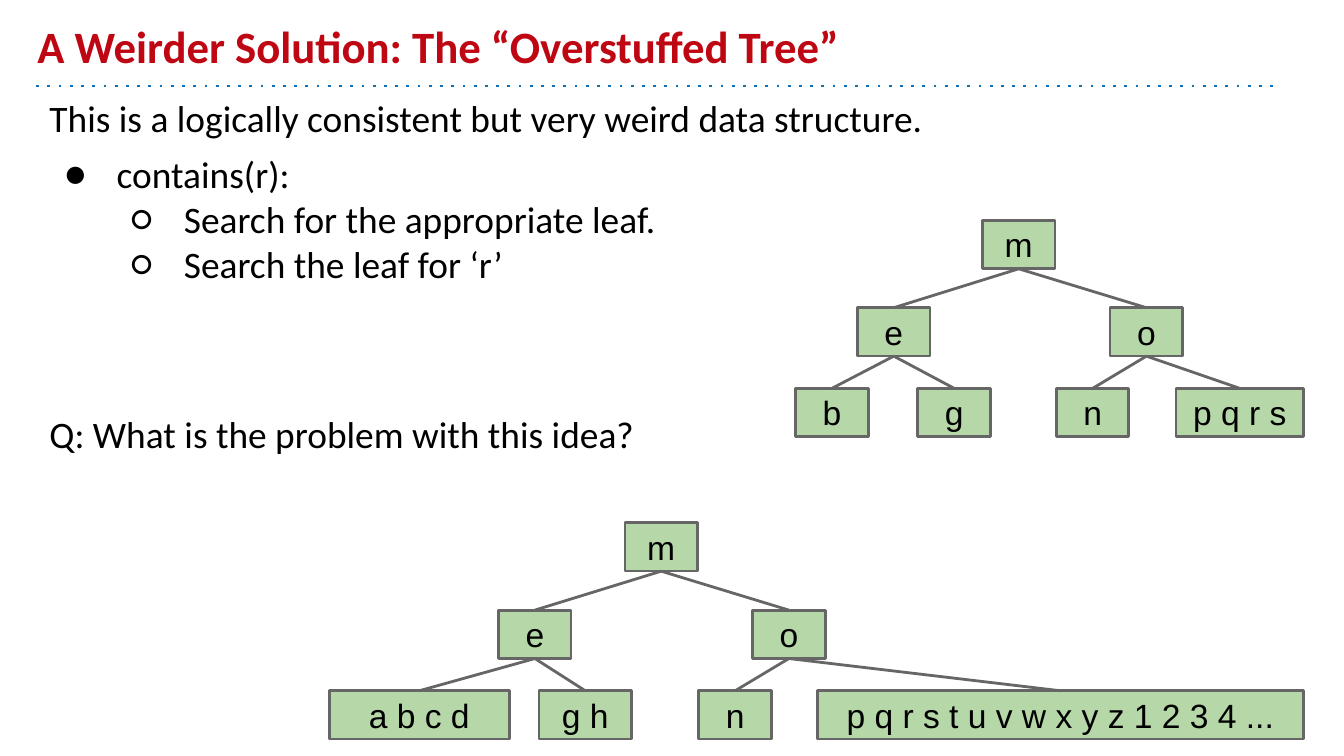
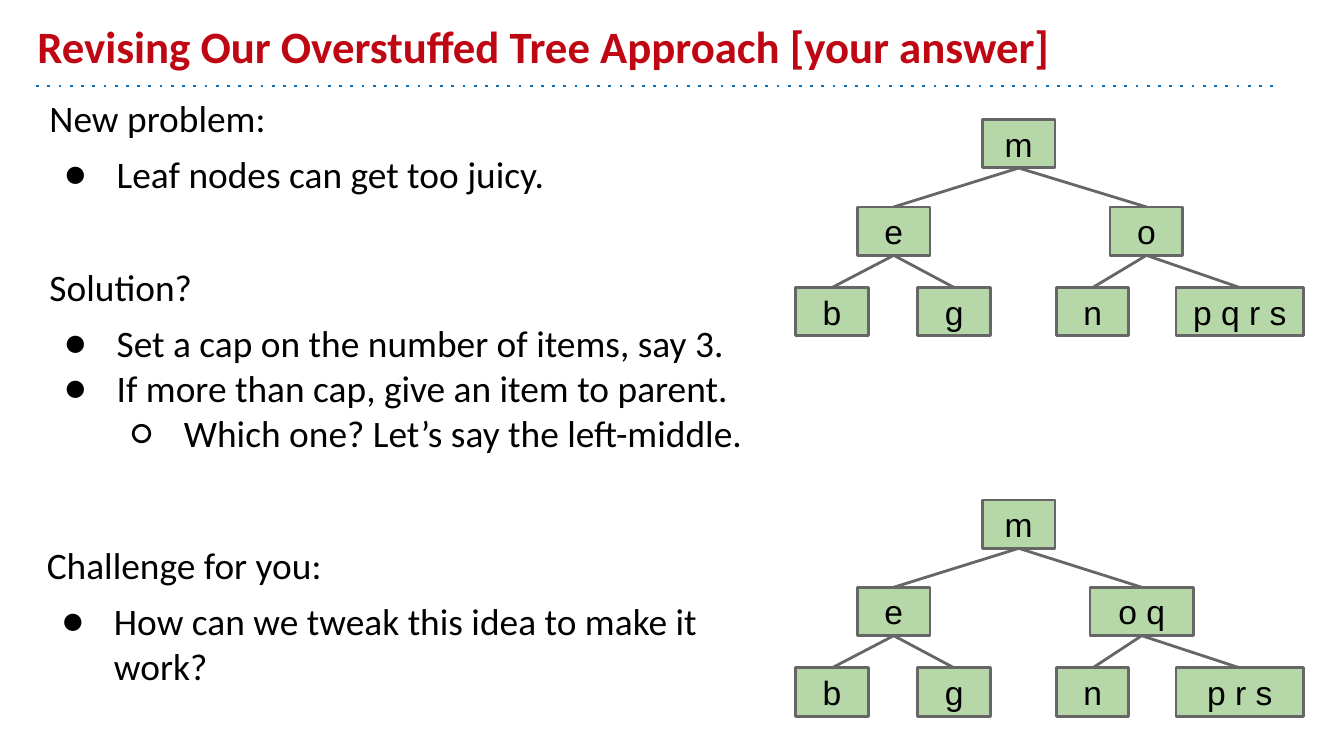
from dataclasses import dataclass

from lxml.etree import SubElement
from pptx import Presentation
from pptx.dml.color import RGBColor
from pptx.enum.shapes import MSO_CONNECTOR, MSO_SHAPE
from pptx.enum.text import MSO_ANCHOR, PP_ALIGN
from pptx.oxml.ns import qn
from pptx.util import Inches, Pt


@dataclass(frozen=True)
class Theme:
    title_color: RGBColor = RGBColor.from_string("BE0712")
    text_color: RGBColor = RGBColor.from_string("000000")
    divider: RGBColor = RGBColor.from_string("1072BD")
    node_fill: RGBColor = RGBColor.from_string("B6D7A8")
    node_line: RGBColor = RGBColor.from_string("666666")
    text_font: str = "Calibri"
    node_font: str = "Arial"
    title_size: Pt = Pt(24)
    body_size: Pt = Pt(20)
    node_size: Pt = Pt(18)
    line_width: Pt = Pt(1.5)
    inset: Inches = Inches(0.1)
    bullet_hang: Inches = Inches(0.39)
    bullet_step: Inches = Inches(0.5)


@dataclass(frozen=True)
class Node:
    """A tree node; left is measured from the left edge of its tree."""
    label: str
    left: float
    width: float = 0.54
    children: tuple = ()


@dataclass(frozen=True)
class Line:
    """A body paragraph; level 0 is plain text, 1 and 2 are bulleted."""
    text: str
    level: int = 0
    before: float = 0


THEME = Theme()
BULLETS = {1: "●", 2: "○"}
NODE_HEIGHT = 0.36
LEVEL_TOPS = (0, 0.65, 1.25)

LEFT_BRANCH = Node("e", 0.46, children=(Node("b", 0), Node("g", 0.91)))
STUFFED_TREE = Node("m", 1.39, children=(
    LEFT_BRANCH,
    Node("o", 2.34, children=(Node("n", 1.94), Node("p q r s", 2.83, 0.95))),
))
CAPPED_TREE = Node("m", 1.39, children=(
    LEFT_BRANCH,
    Node("o q", 2.19, 0.77, (Node("n", 1.94), Node("p r s", 2.83, 0.95))),
))
JUICY_TREE = Node("m", 2.2, children=(
    Node("e", 1.26, children=(Node("a b c d", 0, 1.34), Node("g h", 1.56, 0.69))),
    Node("o", 3.15, children=(
        Node("n", 2.75),
        Node("p q r s t u v w x y z 1 2 3 4 ...", 3.63, 3.62),
    )),
))


def style_font(font, name, size, color, bold=False):
    font.name, font.size, font.bold = name, size, bold
    font.color.rgb = color


def set_frame(frame, anchor):
    frame.word_wrap = True
    frame.vertical_anchor = anchor
    frame.margin_left = frame.margin_right = THEME.inset
    frame.margin_top = frame.margin_bottom = THEME.inset


def add_text_frame(slide, box, anchor):
    frame = slide.shapes.add_textbox(*map(Inches, box)).text_frame
    set_frame(frame, anchor)
    return frame


def add_line(shapes, start, end, color, dash=None):
    connector = shapes.add_connector(MSO_CONNECTOR.STRAIGHT, *map(Inches, start + end))
    connector.line.color.rgb = color
    connector.line.width = THEME.line_width
    if dash:
        SubElement(connector.line._get_or_add_ln(), qn("a:prstDash"), val=dash)
    SubElement(connector._element.spPr, qn("a:effectLst"))
    return connector


def add_bullet(paragraph, level):
    paragraph.level = level - 1
    properties = paragraph._p.get_or_add_pPr()
    properties.set("marL", str(THEME.bullet_step * level))
    properties.set("indent", str(-THEME.bullet_hang))
    color = SubElement(properties, qn("a:buClr"))
    SubElement(color, qn("a:srgbClr"), val=str(THEME.text_color))
    SubElement(properties, qn("a:buFont"), typeface=THEME.text_font)
    SubElement(properties, qn("a:buChar"), char=BULLETS[level])


def add_body(slide, box, lines, anchor=MSO_ANCHOR.TOP):
    frame = add_text_frame(slide, box, anchor)
    for index, line in enumerate(lines):
        paragraph = frame.add_paragraph() if index else frame.paragraphs[0]
        paragraph.text = line.text
        paragraph.space_before = Pt(line.before)
        if line.level:
            add_bullet(paragraph, line.level)
        style_font(paragraph.font, THEME.text_font, THEME.body_size, THEME.text_color)
    return frame


def add_node(shapes, node, left, top):
    shape = shapes.add_shape(
        MSO_SHAPE.RECTANGLE, *map(Inches, (left, top, node.width, NODE_HEIGHT)))
    shape.shadow.inherit = False
    shape.fill.solid()
    shape.fill.fore_color.rgb = THEME.node_fill
    shape.line.color.rgb = THEME.node_line
    shape.line.width = THEME.line_width
    set_frame(shape.text_frame, MSO_ANCHOR.MIDDLE)
    paragraph = shape.text_frame.paragraphs[0]
    paragraph.text = node.label
    paragraph.alignment = PP_ALIGN.CENTER
    style_font(paragraph.font, THEME.node_font, THEME.node_size, THEME.text_color)
    return shape


def add_tree(shapes, node, left, top, depth=0):
    """Draw a node and its descendants; left and top locate the whole tree."""
    parent = add_node(shapes, node, left + node.left, top + LEVEL_TOPS[depth])
    for child_node in node.children:
        child = add_tree(shapes, child_node, left, top, depth + 1)
        edge = add_line(shapes, (left, top), (left, top), THEME.node_line)
        edge.begin_connect(parent, 2)
        edge.end_connect(child, 0)
    return parent


def add_titled_slide(presentation, title):
    slide = presentation.slides.add_slide(presentation.slide_layouts[6])
    add_line(slide.shapes, (0.27, 0.64), (9.5, 0.64), THEME.divider, dash="dot")
    frame = add_text_frame(slide, (0.18, 0.1, 9, 0.54), MSO_ANCHOR.BOTTOM)
    paragraph = frame.paragraphs[0]
    paragraph.text = title
    style_font(paragraph.font, THEME.text_font, THEME.title_size, THEME.title_color, bold=True)
    return slide


def add_weird_solution_slide(presentation):
    slide = add_titled_slide(presentation, "A Weirder Solution: The “Overstuffed Tree”")
    add_body(slide, (0.27, 0.61, 9.23, 4.63), (
        Line("This is a logically consistent but very weird data structure."),
        Line("contains(r):", 1, 6),
        Line("Search for the appropriate leaf.", 2),
        Line("Search the leaf for ‘r’", 2),
        Line("Q: What is the problem with this idea?", before=67),
    ))
    add_tree(slide.shapes, STUFFED_TREE, 5.92, 1.64)
    add_tree(slide.shapes.add_group_shape().shapes, JUICY_TREE, 2.45, 3.89)


def add_revised_approach_slide(presentation):
    slide = add_titled_slide(
        presentation, "Revising Our Overstuffed Tree Approach [your answer]")
    add_body(slide, (0.27, 0.61, 9.23, 3.11), (
        Line("New problem:"),
        Line("Leaf nodes can get too juicy.", 1, 6),
        Line("Solution?", before=36.5),
        Line("Set a cap on the number of items, say 3.", 1, 6),
        Line("If more than cap, give an item to parent.", 1),
        Line("Which one? Let’s say the left-middle.", 2),
    ))
    for tree, top in ((STUFFED_TREE, 0.89), (CAPPED_TREE, 3.72)):
        add_tree(slide.shapes, tree, 5.92, top)
    challenge = add_body(slide, (0.25, 4.07, 5.3, 1.33), (
        Line("Challenge for you:"),
        Line("How can we tweak this idea to make it work?", 1, 6),
    ), MSO_ANCHOR.MIDDLE)
    challenge.margin_bottom = Inches(0.42)


def main():
    presentation = Presentation()
    presentation.slide_width = Inches(10)
    presentation.slide_height = presentation.slide_width * 9 // 16
    add_weird_solution_slide(presentation)
    add_revised_approach_slide(presentation)
    presentation.save("out.pptx")


if __name__ == "__main__":
    main()
